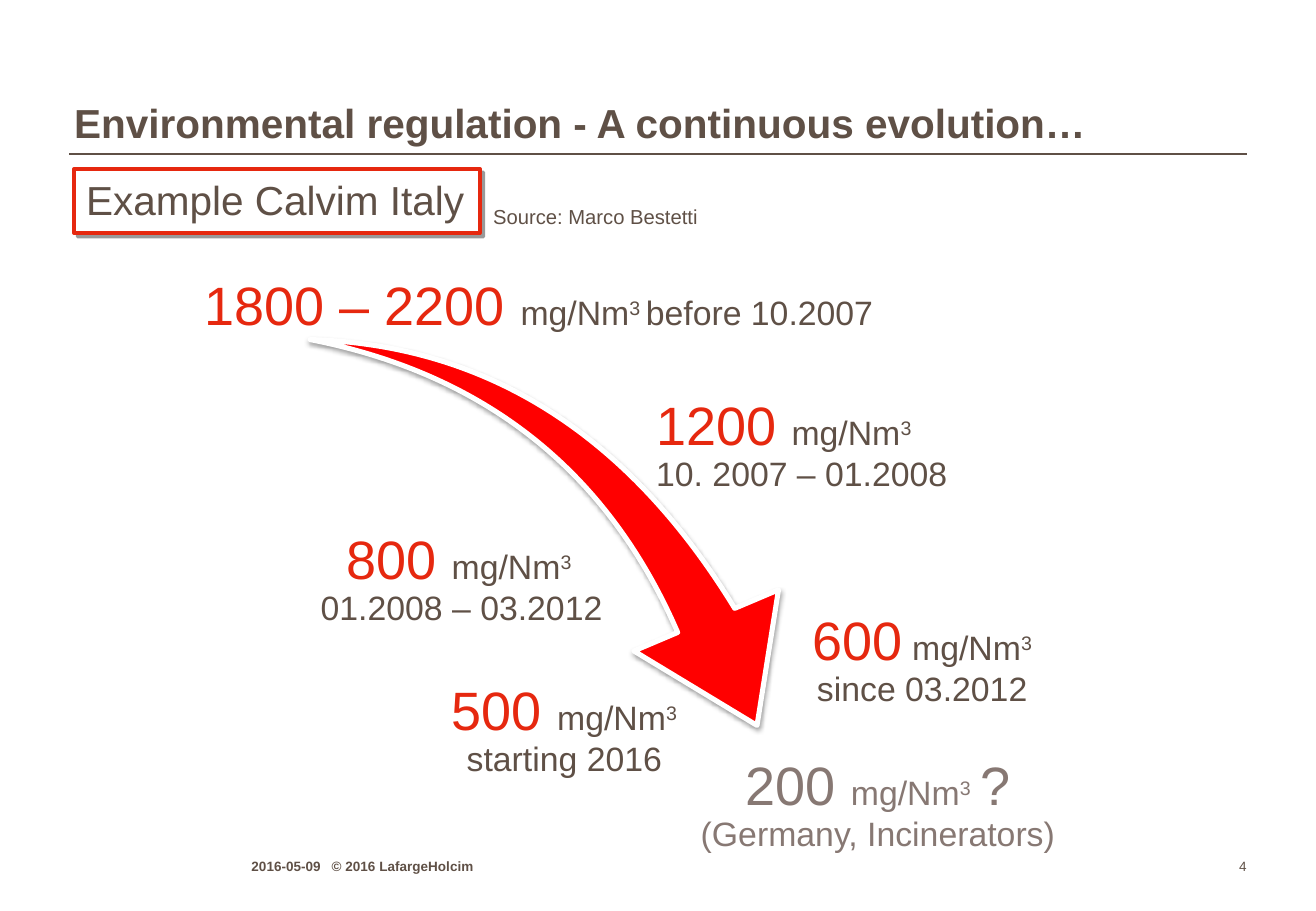
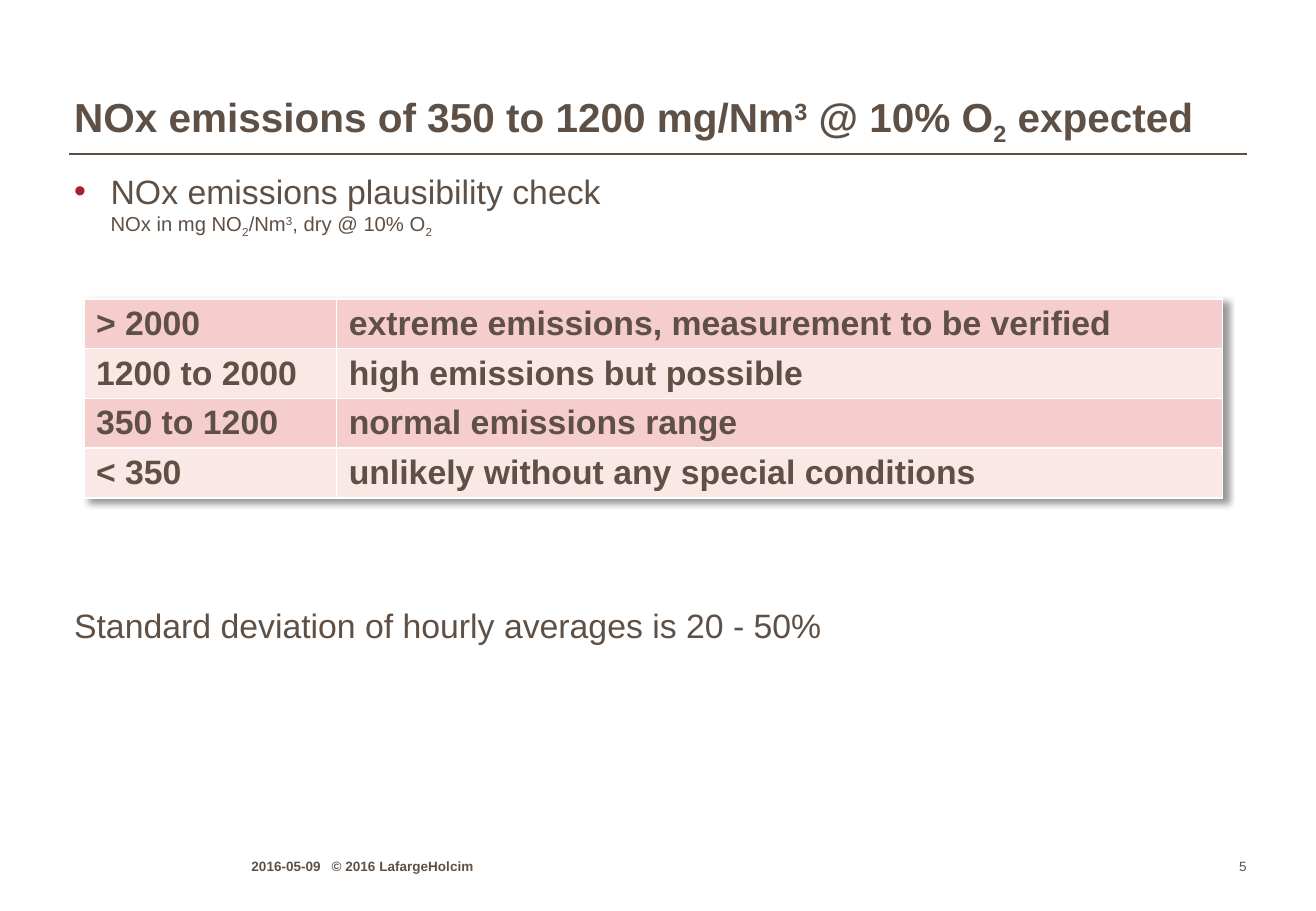
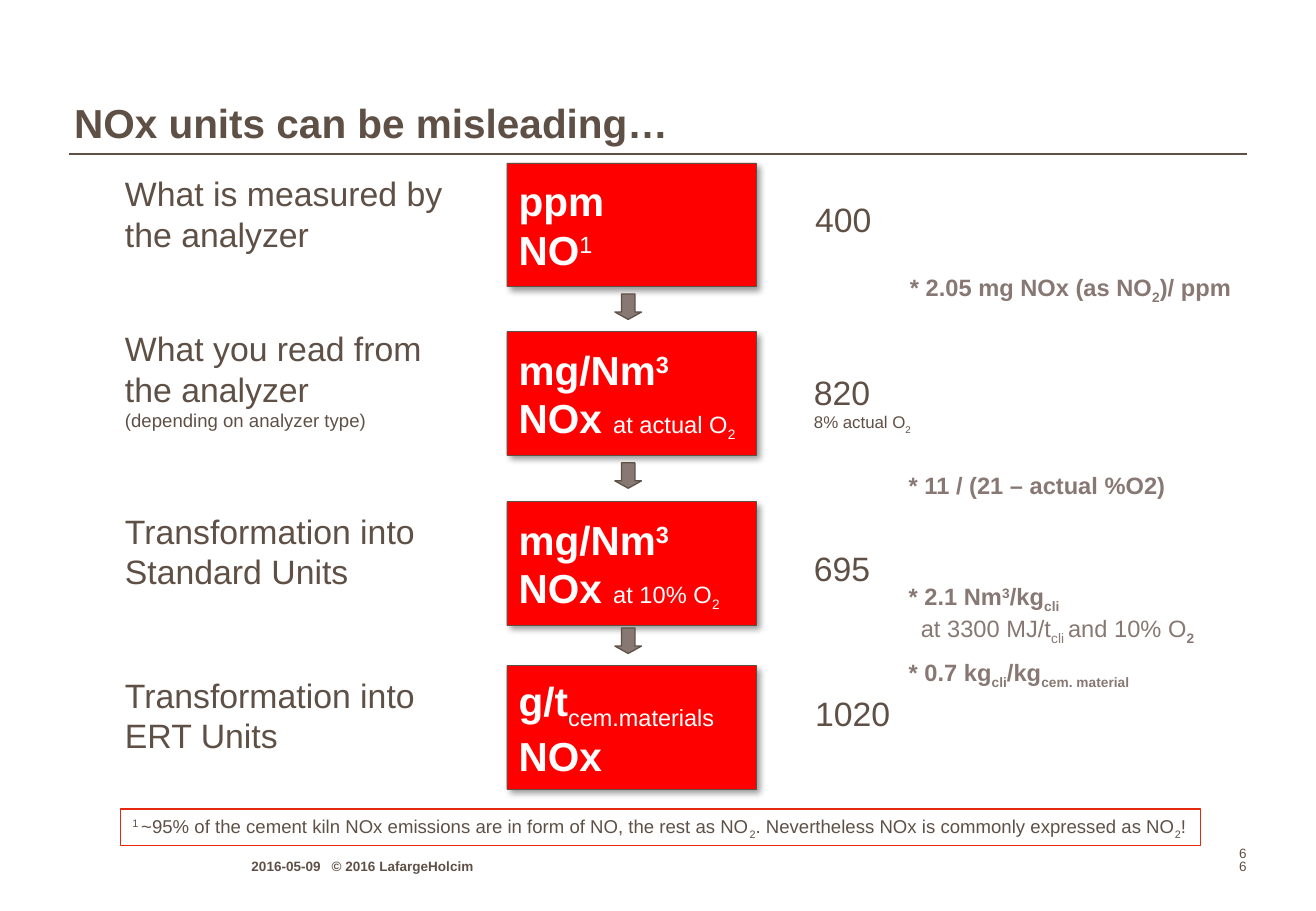
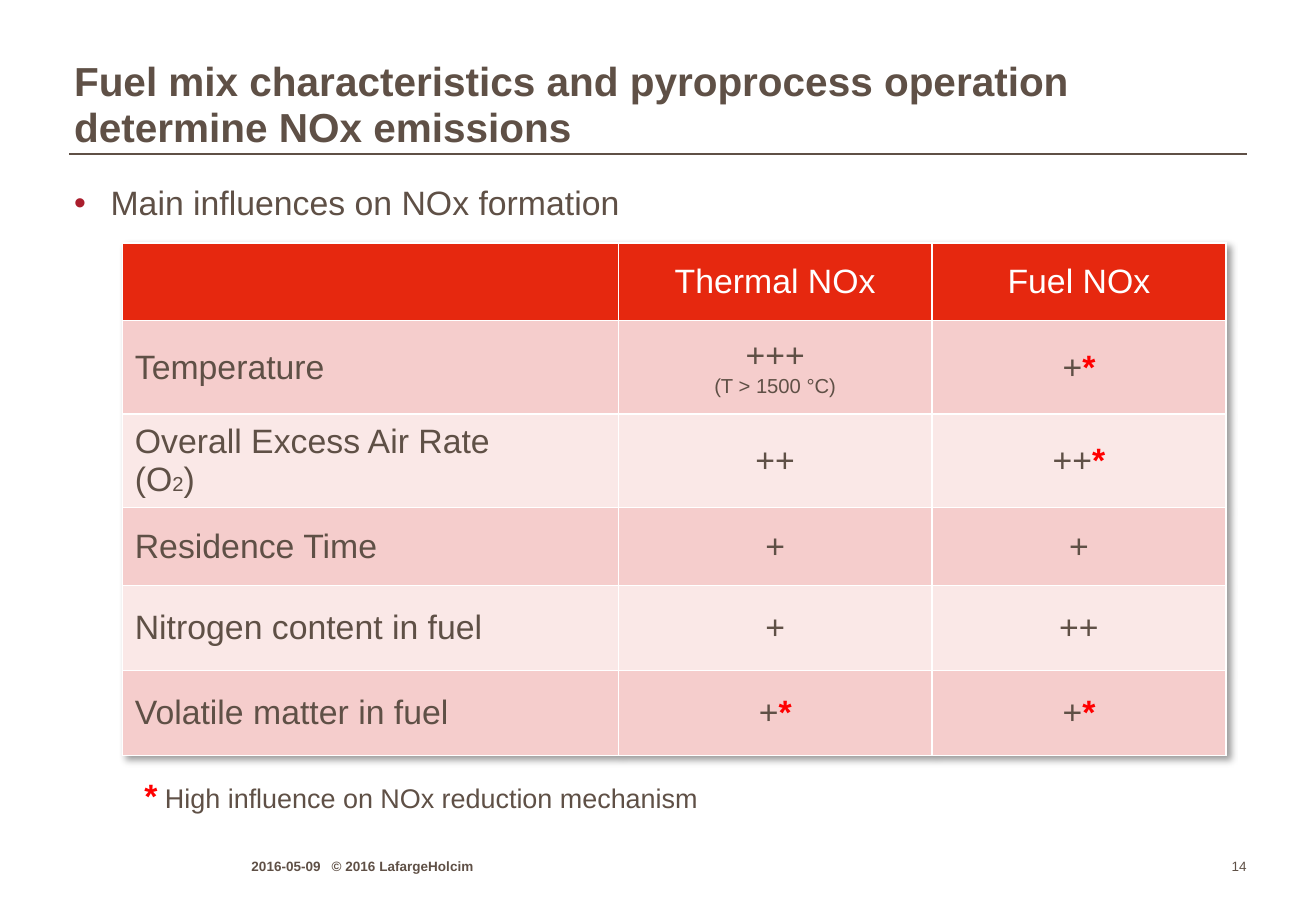
from dataclasses import dataclass
from typing import NamedTuple

from lxml.etree import SubElement
from pptx import Presentation
from pptx.dml.color import RGBColor
from pptx.enum.shapes import MSO_CONNECTOR as Link, MSO_SHAPE as Form
from pptx.enum.text import MSO_ANCHOR as Anchor, PP_ALIGN as Align
from pptx.oxml.ns import qn
from pptx.util import Emu, Pt

SCALE = 9144  # one px is a hundredth of an inch
WIDE, HIGH = 1083, 750


@dataclass(frozen=True)
class Theme:
    font: str = "Arial"
    ink: str = "5F5046"
    soft: str = "877873"
    red: str = "E6280F"
    hot: str = "FF0000"
    dot: str = "AA1E2D"
    white: str = "FFFFFF"
    bands: tuple = ("F5CDCC", "FAE8E7")
    huge: int = 32
    title: int = 24
    body: int = 20
    key: int = 16
    small: int = 14
    note: int = 12
    fine: int = 11
    tiny: int = 10
    foot: int = 8


T = Theme()


class Box(NamedTuple):
    x: int
    y: int
    w: int
    h: int


class Run(NamedTuple):
    """Text in one style; ^ marks superscript, _ marks subscript."""
    text: str
    size: int = T.body
    tone: str = T.ink
    bold: bool = False


@dataclass(frozen=True)
class Para:
    runs: tuple
    align: Align = Align.LEFT
    pitch: float = 1.0
    after: int = 0
    left: int = 0
    bullet: bool = False
    tab: int = 0


class Look(NamedTuple):
    """How text sits in its frame."""
    anchor: Anchor = Anchor.TOP
    pad: tuple = (10, 5, 10, 5)
    wrap: bool = True


class Shade(NamedTuple):
    alpha: int
    blur: float
    dist: float
    angle: int


class Step(NamedTuple):
    """One unit on the way from analyzer to report."""
    top: int
    unit: tuple
    label: Box
    text: tuple
    value: Box
    worth: tuple


LOW = Look(Anchor.BOTTOM)
BARE = Look(Anchor.BOTTOM, (0, 0, 0, 0))
TIGHT = (4, 4, 4, 4)
CAST = Shade(40, 4, 3, 45)


def px(n: int) -> Emu:
    return Emu(n * SCALE)


def place(box: Box) -> tuple:
    return tuple(px(n) for n in box)


def rgb(tone: str) -> RGBColor:
    return RGBColor.from_string(tone)


def chunks(text: str) -> list:
    """Split marked text into (baseline, text) pairs."""
    marks = {"^": 30000, "_": -25000}
    out, base, part = [], 0, ""
    for sign in text:
        if sign in marks:
            out.append((base, part))
            base, part = (0 if base else marks[sign]), ""
        else:
            part += sign
    return [pair for pair in out + [(base, part)] if pair[1]]


def put_run(para, run: Run) -> None:
    for base, chunk in chunks(run.text):
        for i, line in enumerate(chunk.split("\n")):
            if i:
                para.add_line_break()
                brk = SubElement(para._p[-1], qn("a:rPr"))
                brk.set("sz", str(run.size * 100))
            if not line:
                continue
            bit = para.add_run()
            bit.text = line
            font = bit.font
            font.name, font.size, font.bold = T.font, Pt(run.size), run.bold
            font.color.rgb = rgb(run.tone)
            if base:
                bit._r.get_or_add_rPr().set("baseline", str(base))


def put_para(para, info: Para) -> None:
    props = para._p.get_or_add_pPr()
    if info.left:
        props.set("marL", str(px(info.left)))
    if info.bullet:
        props.set("indent", str(-px(info.left)))
        SubElement(SubElement(props, qn("a:buClr")), qn("a:srgbClr")).set("val", T.dot)
        SubElement(props, qn("a:buFont")).set("typeface", T.font)
        SubElement(props, qn("a:buChar")).set("char", "•")
    if info.tab:
        stop = SubElement(SubElement(props, qn("a:tabLst")), qn("a:tab"))
        stop.set("pos", str(px(info.tab)))
        stop.set("algn", "l")
    para.alignment = info.align
    para.line_spacing = info.pitch
    if info.after:
        para.space_after = Pt(info.after)
    for run in info.runs:
        put_run(para, run)


def write(frame, paras: tuple, look: Look) -> None:
    frame.word_wrap = look.wrap
    frame.vertical_anchor = look.anchor
    (frame.margin_left, frame.margin_top,
     frame.margin_right, frame.margin_bottom) = (px(n) for n in look.pad)
    for i, info in enumerate(paras):
        put_para(frame.add_paragraph() if i else frame.paragraphs[0], info)


def text(slide, box: Box, *paras: Para, look: Look = Look()) -> None:
    write(slide.shapes.add_textbox(*place(box)).text_frame, paras, look)


def panel(slide, box: Box):
    """Add a clear freeform outline that carries text."""
    x, y, w, h = box
    pen = slide.shapes.build_freeform(x, y, scale=SCALE)
    pen.add_line_segments([(x + w, y), (x + w, y + h), (x, y + h)])
    item = pen.convert_to_shape()
    item.fill.background()
    item.line.fill.background()
    item.shadow.inherit = False
    return item


def glow(host, shade: Shade, at: int) -> None:
    """Give the host element an outer shadow, as its child number at."""
    effects = SubElement(host, qn("a:effectLst"))
    host.insert(at, effects)
    cast = SubElement(effects, qn("a:outerShdw"))
    cast.set("blurRad", str(Pt(shade.blur)))
    cast.set("dist", str(Pt(shade.dist)))
    cast.set("dir", str(shade.angle * 60000))
    cast.set("algn", "tl")
    cast.set("rotWithShape", "0")
    tone = SubElement(cast, qn("a:srgbClr"))
    tone.set("val", "000000")
    SubElement(tone, qn("a:alpha")).set("val", str(shade.alpha * 1000))


def shape(slide, form: Form, box: Box, fill: str, line: str, width: float,
          shade: Shade | None = None, adj: tuple = ()):
    item = slide.shapes.add_shape(form, *place(box))
    if fill:
        item.fill.solid()
        item.fill.fore_color.rgb = rgb(fill)
    else:
        item.fill.background()
    item.line.color.rgb = rgb(line)
    item.line.width = Pt(width)
    for i, part in enumerate(adj):
        item.adjustments[i] = part
    if shade:
        props = item._element.spPr
        glow(props, shade, len(props))
    else:
        item.shadow.inherit = False
    return item


def edge(cell) -> None:
    props = cell._tc.get_or_add_tcPr()
    for side in ("a:lnL", "a:lnR", "a:lnT", "a:lnB"):
        line = SubElement(props, qn(side))
        line.set("w", str(Pt(1)))
        tone = SubElement(SubElement(line, qn("a:solidFill")), qn("a:srgbClr"))
        tone.set("val", T.white)


def table(slide, x: int, y: int, cols: tuple, rows: tuple, cells: list,
          fills: list, mid: bool = False, pad: int = 5) -> None:
    """Draw a table; with mid set, all but the first column is centred."""
    box = Box(x, y, sum(cols), sum(rows))
    grid = slide.shapes.add_table(len(rows), len(cols), *place(box)).table
    grid.first_row = grid.horz_banding = False
    glow(grid._tbl.tblPr, CAST, 0)
    for col, wide in zip(grid.columns, cols):
        col.width = px(wide)
    for r, (row, high) in enumerate(zip(cells, rows)):
        grid.rows[r].height = px(high)
        for c, runs in enumerate(row):
            cell = grid.cell(r, c)
            edge(cell)
            cell.fill.solid()
            cell.fill.fore_color.rgb = rgb(fills[r])
            cell.vertical_anchor = Anchor.MIDDLE
            cell.margin_top = cell.margin_bottom = px(pad)
            align = Align.CENTER if mid and c else Align.LEFT
            put_para(cell.text_frame.paragraphs[0], Para(runs, align))


def number(slide, page: int, y: int = 702) -> None:
    run = Run(str(page), T.foot)
    text(slide, Box(979, y, 47, 18), Para((run,), Align.RIGHT), look=BARE)


def start(deck, title: str, page: int, top: int = 36):
    """Add a slide with its title, rule, footer and page number."""
    slide = deck.slides.add_slide(deck.slide_layouts[6])
    rule = slide.shapes.add_connector(Link.STRAIGHT, px(57), px(127), px(1026), px(127))
    rule.line.color.rgb = rgb(T.ink)
    rule.line.width = Pt(1)
    SubElement(rule._element.spPr, qn("a:effectLst"))
    head = Run(title, T.title, bold=True)
    text(slide, Box(61, top, 960, 87), Para((head,), pitch=0.95),
         look=Look(Anchor.BOTTOM, (0, 0, 0, 1)))
    foot = Run("2016-05-09\t© 2016 LafargeHolcim", T.foot, bold=True)
    text(slide, Box(207, 702, 347, 18), Para((foot,), tab=66), look=BARE)
    number(slide, page)
    return slide


def limits(deck) -> None:
    slide = start(deck, "Environmental regulation - A continuous evolution…", 4)
    swoosh = shape(slide, Form.SWOOSH_ARROW, Box(258, 276, 409, 311), T.hot, T.white, 3,
                   Shade(38, 3.1, 1.6, 90), (0.163, 0.314))
    swoosh.rotation = 73.5

    def dose(value: str, rest: str) -> tuple:
        return Run(value, T.huge, T.red), Run(rest)

    mid, left = Align.CENTER, Align.LEFT
    for box, anchor, align, runs in (
        (Box(85, 205, 725, 77), Anchor.BOTTOM, mid,
         dose("1800 – 2200 ", "mg/Nm^3 ^before 10.2007 ")),
        (Box(536, 329, 402, 77), Anchor.MIDDLE, left,
         dose("1200 ", "mg/Nm^3\n^10. 2007 – 01.2008")),
        (Box(248, 439, 264, 77), Anchor.MIDDLE, mid,
         dose("800 ", "mg/Nm^3 \n^01.2008 – 03.2012")),
        (Box(644, 506, 230, 77), Anchor.MIDDLE, mid,
         dose("600", " mg/Nm^3\n^since 03.2012")),
        (Box(327, 559, 275, 93), Anchor.TOP, mid,
         dose("500 ", "mg/Nm^3\n^starting 2016")),
    ):
        write(panel(slide, box).text_frame, (Para(runs, align, 0.9),),
              Look(anchor, TIGHT))
    last = (Run("200 ", T.huge, T.soft), Run("mg/Nm^3^ ", tone=T.soft),
            Run("?\n", T.huge, T.soft), Run("(Germany, Incinerators)", tone=T.soft))
    text(slide, Box(532, 621, 381, 102), Para(last, mid, 0.9), look=Look(pad=TIGHT))
    text(slide, Box(396, 163, 189, 30), Para((Run("Source: Marco Bestetti", T.note),)),
         look=Look(wrap=False))
    tag = shape(slide, Form.RECTANGLE, Box(61, 139, 334, 53), T.white, T.red, 2,
                Shade(40, 0, 3, 45))
    write(tag.text_frame, (Para((Run("Example Calvim Italy", T.title),)),),
          Look(wrap=False))


def ranges(deck) -> None:
    slide = start(deck, "NOx emissions of 350 to 1200 mg/Nm^3^ @ 10% O_2_ expected", 5, 33)
    flat = Look(pad=(0, 0, 0, 0))
    check = (Run("NOx emissions plausibility check\n"),
             Run("NOx in mg NO_2_/Nm^3^, dry @ 10% O_2_", T.note))
    text(slide, Box(61, 144, 961, 70), Para(check, pitch=0.9, left=30, bullet=True),
         look=flat)
    rows = (("> 2000", "extreme emissions, measurement to be verified"),
            ("1200 to 2000", "high emissions but possible"),
            ("350 to 1200", "normal emissions range"),
            ("< 350", "unlikely without any special conditions"))
    cells = [[(Run(word, bold=True),) for word in row] for row in rows]
    table(slide, 69, 246, (208, 729), (41,) * 4, cells, list(T.bands * 2), pad=3)
    text(slide, Box(61, 502, 961, 40),
         Para((Run("Standard deviation of hourly averages is 20 - 50%"),), pitch=0.9),
         look=flat)


def units(deck) -> None:
    slide = start(deck, "NOx units can be misleading…", 6)
    number(slide, 6, 691)

    def big(words: str) -> Run:
        return Run(words, T.title, T.white, True)

    def thin(words: str, size: int = T.small) -> Run:
        return Run(words, size, T.white)

    def hint(words: str, bold: bool = True) -> Run:
        return Run(words, T.small, T.soft, bold)

    steps = (
        Step(134, (big("ppm\nNO"), thin("^1^", T.title)),
             Box(93, 137, 299, 77), (Run("What is measured by the analyzer"),),
             Box(661, 159, 86, 43), (Run("400"),)),
        Step(273, (big("mg/Nm^3^\nNOx "), thin("at actual O_2_")),
             Box(93, 265, 299, 95),
             (Run("What you read from the analyzer\n"),
              Run("(depending on analyzer type)", T.fine)),
             Box(660, 304, 244, 59), (Run("820\n"), Run("8% actual O_2_", T.tiny))),
        Step(413, (big("mg/Nm^3^\nNOx "), thin("at 10% O_2_")),
             Box(93, 415, 299, 77), (Run("Transformation into Standard Units"),),
             Box(660, 446, 86, 43), (Run("695"),)),
        Step(548, (big("g/t"), thin("_cem.materials_\n", T.title), big("NOx")),
             Box(93, 550, 299, 77), (Run("Transformation into ERT Units"),),
             Box(661, 566, 86, 43), (Run("1020"),)),
    )
    for step in steps:
        card = shape(slide, Form.RECTANGLE, Box(417, step.top, 205, 102), T.hot, T.ink,
                     0.25, CAST)
        write(card.text_frame, (Para(step.unit),), Look(Anchor.MIDDLE, wrap=False))
        text(slide, step.label, Para(step.text), look=LOW)
        text(slide, step.value, Para(step.worth), look=LOW)
    for top in (242, 381, 517):
        shape(slide, Form.DOWN_ARROW, Box(506, top, 22, 21), T.soft, T.ink, 0.75,
              adj=(0.5, 0.29))

    text(slide, Box(739, 223, 306, 33), Para((hint("* 2.05 mg NOx (as NO_2_)/ ppm"),)),
         look=LOW)
    text(slide, Box(738, 383, 240, 33), Para((hint("* 11 / (21 – actual %O2)"),)),
         look=LOW)
    text(slide, Box(738, 482, 260, 91),
         Para((hint("* 2.1 Nm^3^/kg_cli_"),)),
         Para((hint("at 3300 MJ/t_cli _and 10% O", False), hint("_2_")), after=7, left=10),
         Para((hint("* 0.7 kg_cli_/kg_cem. material_"),)), look=LOW)
    frame = shape(slide, Form.RECTANGLE, Box(99, 666, 889, 30), "", T.red, 0.75)
    remark = Run("^1 ^~95% of the cement kiln NOx emissions are in form of NO, the rest "
                 "as NO_2_. Nevertheless NOx is commonly expressed as NO_2_!", T.fine)
    write(frame.text_frame, (Para((remark,)),), Look(wrap=False))


def fuels(deck) -> None:
    slide = start(deck, "Fuel mix characteristics and pyroprocess operation "
                  "determine NOx emissions", 14, 39)
    text(slide, Box(61, 150, 961, 40),
         Para((Run("Main influences on NOx formation"),), left=30, bullet=True),
         look=Look(pad=(0, 0, 0, 0)))
    star = Run("*", tone=T.hot, bold=True)
    one, two = Run("+"), Run("++")
    cells = [
        [(), (Run("Thermal NOx", tone=T.white),), (Run("Fuel NOx", tone=T.white),)],
        [(Run("Temperature"),), (Run("+++\n"), Run("(T > 1500 °C)", T.note)), (one, star)],
        [(Run("Overall Excess Air Rate\n(O"), Run("2", T.note), Run(")")),
         (two,), (two, star)],
        [(Run("Residence Time"),), (one,), (one,)],
        [(Run("Nitrogen content in fuel"),), (one,), (two,)],
        [(Run("Volatile matter in fuel"),), (one, star), (one, star)],
    ]
    fills = [T.red] + [T.bands[i % 2] for i in range(5)]
    table(slide, 101, 200, (408, 258, 242), (64, 77, 77, 64, 70, 70), cells, fills, True)
    text(slide, Box(109, 633, 477, 43),
         Para((star, Run(" High influence on NOx reduction mechanism", T.key))),
         look=Look(wrap=False))


def main() -> None:
    deck = Presentation()
    deck.slide_width, deck.slide_height = px(WIDE), px(HIGH)
    for build in (limits, ranges, units, fuels):
        build(deck)
    deck.save("out.pptx")


if __name__ == "__main__":
    main()
